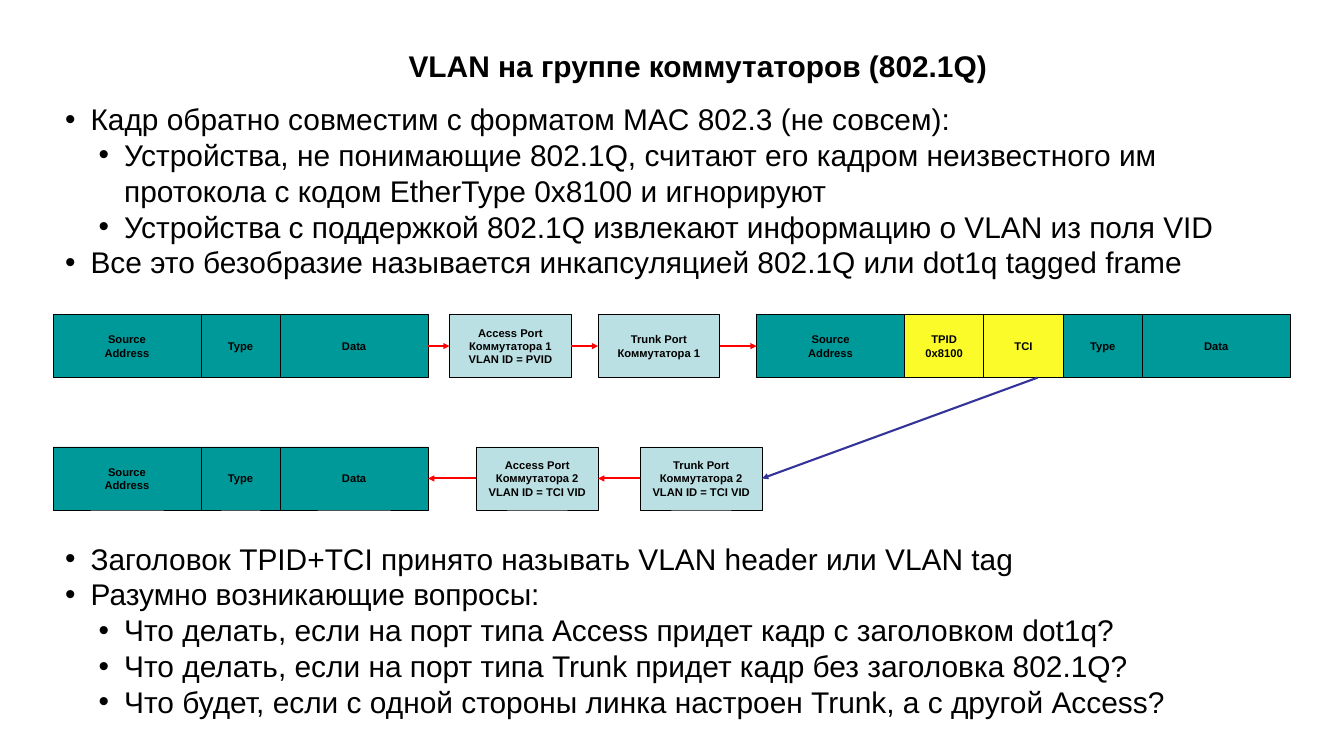
from typing import NamedTuple

from lxml import etree
from pptx import Presentation
from pptx.dml.color import RGBColor
from pptx.enum import shapes, text
from pptx.oxml.ns import qn
from pptx.util import Inches, Pt

BLACK = RGBColor(0x00, 0x00, 0x00)
TEAL = RGBColor(0x00, 0x99, 0x99)
PALE = RGBColor(0xBB, 0xE0, 0xE3)
YELLOW = RGBColor(0xFB, 0xFB, 0x29)
RED = RGBColor(0xFF, 0x00, 0x00)
NAVY = RGBColor(0x33, 0x33, 0x99)

FONT = "Arial"
BOX_H = 0.94
PORT_W = 1.81
TOP_ROW, BOTTOM_ROW = 4.68, 6.65
LEFT_FRAME, TAGGED_FRAME = 0.79, 11.26
LEFT_SITE, RIGHT_SITE = 1, 3


class Field(NamedTuple):
    label: str
    width: float
    fill: RGBColor = TEAL


class Bullet(NamedTuple):
    text: str
    level: int = 0


SOURCE = Field("Source\nAddress", 2.2)
TYPE = Field("Type", 1.18)
DATA = Field("Data", 2.2)
TPID = Field("TPID\n0x8100", 1.18, YELLOW)
TCI = Field("TCI", 1.18, YELLOW)
PLAIN_FIELDS = [SOURCE, TYPE, DATA]
TAGGED_FIELDS = [SOURCE, TPID, TCI, TYPE, DATA]

TITLE = "VLAN на группе коммутаторов (802.1Q)"
COMPATIBILITY = [
    Bullet("Кадр обратно совместим с форматом MAC 802.3 (не совсем):"),
    Bullet("Устройства, не понимающие 802.1Q, считают его кадром неизвестного им "
           "протокола с кодом EtherType 0x8100 и игнорируют", 1),
    Bullet("Устройства с поддержкой 802.1Q извлекают информацию о VLAN из поля VID", 1),
    Bullet("Все это безобразие называется инкапсуляцией 802.1Q или dot1q tagged frame"),
]
QUESTIONS = [
    Bullet("Заголовок TPID+TCI принято называть VLAN header или VLAN tag"),
    Bullet("Разумно возникающие вопросы:"),
    Bullet("Что делать, если на порт типа Access придет кадр с заголовком dot1q?", 1),
    Bullet("Что делать, если на порт типа Trunk придет кадр без заголовка 802.1Q?", 1),
    Bullet("Что будет, если с одной стороны линка настроен Trunk, а с другой Access?", 1),
]


def style(p, size: int, bold: bool = False) -> None:
    for r in p.runs:
        r.font.name = FONT
        r.font.size = Pt(size)
        r.font.bold = bold
        r.font.color.rgb = BLACK


def add_title(s) -> None:
    sp = s.shapes.title
    sp.left, sp.top = Inches(5.98), Inches(0.66)
    sp.width, sp.height = Inches(8.84), Inches(0.64)
    tf = sp.text_frame
    tf.text = TITLE
    tf.word_wrap = False
    tf.auto_size = text.MSO_AUTO_SIZE.NONE
    tf.vertical_anchor = text.MSO_ANCHOR.TOP
    p = tf.paragraphs[0]
    p.alignment = text.PP_ALIGN.LEFT
    p.line_spacing = 1.0
    p.space_before = Pt(0)
    style(p, 32, bold=True)


def add_bullets(s, top: float, bullets: list[Bullet]) -> None:
    tf = s.shapes.add_textbox(Inches(0.87), Inches(top), Inches(18.27), Inches(2.77)).text_frame
    tf.word_wrap = True
    for i, bullet in enumerate(bullets):
        p = tf.paragraphs[0] if i == 0 else tf.add_paragraph()
        p.text = bullet.text
        p.level = bullet.level
        pPr = p._p.get_or_add_pPr()
        pPr.set("marL", str(Inches(0.38 + 0.5 * bullet.level)))
        pPr.set("indent", str(Inches(-0.38)))
        etree.SubElement(pPr, qn("a:buFont"), typeface=FONT)
        etree.SubElement(pPr, qn("a:buChar"), char="•")
        style(p, 32)


def add_box(s, left: float, top: float, field: Field):
    sp = s.shapes.add_shape(shapes.MSO_SHAPE.RECTANGLE, Inches(left), Inches(top),
                            Inches(field.width), Inches(BOX_H))
    sp.shadow.inherit = False
    sp.fill.solid()
    sp.fill.fore_color.rgb = field.fill
    sp.line.color.rgb = BLACK
    sp.line.width = Pt(0.75)
    tf = sp.text_frame
    tf.text = field.label
    tf.word_wrap = False
    tf.vertical_anchor = text.MSO_ANCHOR.MIDDLE
    for p in tf.paragraphs:
        p.alignment = text.PP_ALIGN.CENTER
        style(p, 12, bold=True)
    return sp


def add_frame(s, left: float, top: float, fields: list[Field]) -> list:
    """Draw the fields of a frame side by side and return their boxes."""
    boxes = []
    for field in fields:
        boxes.append(add_box(s, left, top, field))
        left += field.width
    return boxes


def add_port(s, left: float, top: float, label: str):
    return add_box(s, left, top, Field(label, PORT_W, PALE))


def add_arrow(s, color: RGBColor, start: tuple = (0, 0), end: tuple = (0, 0)):
    cx = s.shapes.add_connector(shapes.MSO_CONNECTOR.STRAIGHT,
                                *(Inches(v) for v in (*start, *end)))
    cx.line.color.rgb = color
    cx.line.width = Pt(2.25)
    etree.SubElement(cx.line._get_or_add_ln(), qn("a:tailEnd"), type="triangle")
    etree.SubElement(cx._element.spPr, qn("a:effectLst"))
    return cx


def link(s, source, target) -> None:
    """Join the facing sides of two neighbouring boxes with a red arrow."""
    rightward = source.left < target.left
    cx = add_arrow(s, RED)
    cx.begin_connect(source, RIGHT_SITE if rightward else LEFT_SITE)
    cx.end_connect(target, LEFT_SITE if rightward else RIGHT_SITE)


def main() -> None:
    prs = Presentation()
    prs.slide_width, prs.slide_height = Inches(20), Inches(11.25)
    s = prs.slides.add_slide(prs.slide_layouts[5])

    add_title(s)
    add_bullets(s, 1.45, COMPATIBILITY)

    sent = add_frame(s, LEFT_FRAME, TOP_ROW, PLAIN_FIELDS)
    access_1 = add_port(s, 6.69, TOP_ROW, "Access Port\nКоммутатора 1\nVLAN ID = PVID")
    trunk_1 = add_port(s, 8.9, TOP_ROW, "Trunk Port\nКоммутатора 1")
    tagged = add_frame(s, TAGGED_FRAME, TOP_ROW, TAGGED_FIELDS)

    trunk_2 = add_port(s, 9.53, BOTTOM_ROW, "Trunk Port\nКоммутатора 2\nVLAN ID = TCI VID")
    access_2 = add_port(s, 7.09, BOTTOM_ROW, "Access Port\nКоммутатора 2\nVLAN ID = TCI VID")
    received = add_frame(s, LEFT_FRAME, BOTTOM_ROW, PLAIN_FIELDS)

    for source, target in [(sent[-1], access_1), (access_1, trunk_1), (trunk_1, tagged[0]),
                           (trunk_2, access_2), (access_2, received[-1])]:
        link(s, source, target)
    add_arrow(s, NAVY, (15.44, TOP_ROW + BOX_H), (9.53 + PORT_W, BOTTOM_ROW + BOX_H / 2))

    add_bullets(s, 7.99, QUESTIONS)
    prs.save("out.pptx")


if __name__ == "__main__":
    main()
